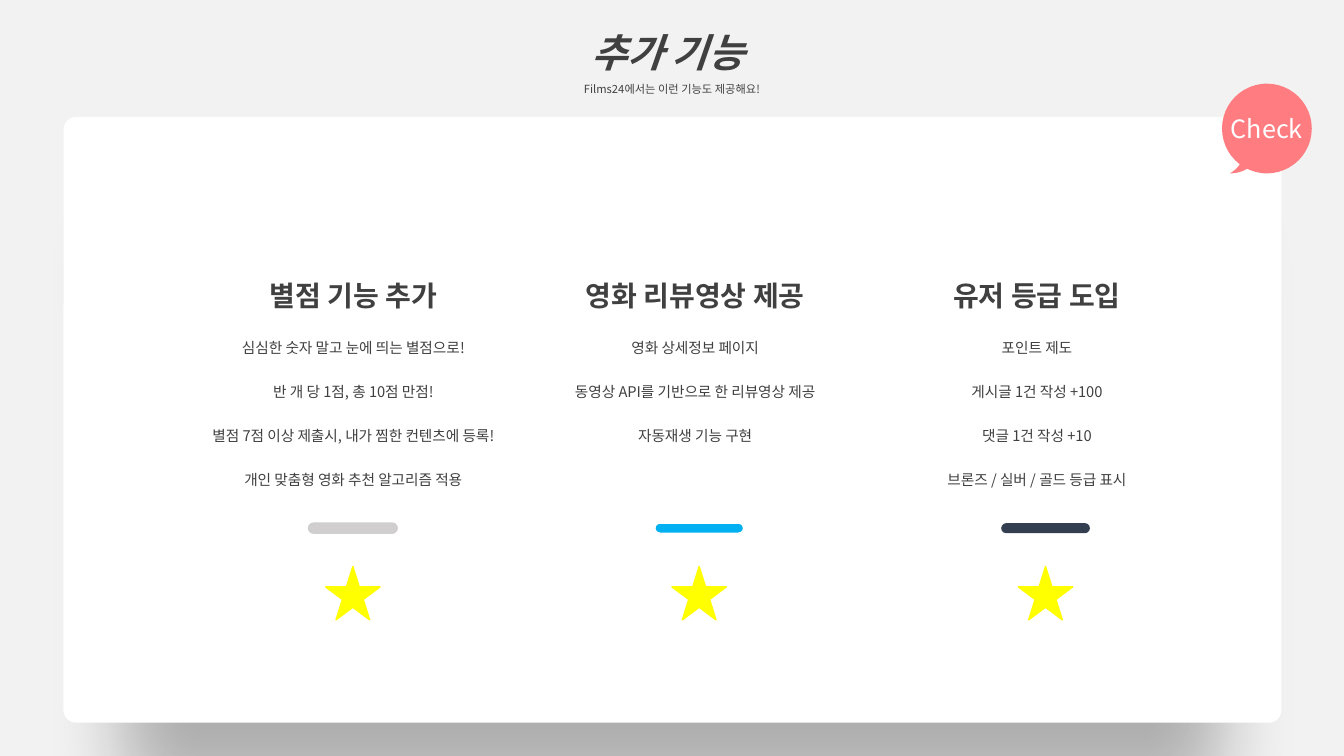
from lxml import etree
from pptx import Presentation
from pptx.dml.color import RGBColor
from pptx.enum import shapes, text
from pptx.oxml import ns
from pptx.util import Inches, Pt

FONT = "Noto Sans CJK KR"
SHAPE = shapes.MSO_SHAPE
DARK, CORAL, YELLOW, WHITE = "404040", "FF7C80", "FFFF00", "FFFFFF"

FEATURES = [
    ("별점 기능 추가",
     ["심심한 숫자 말고 눈에 띄는 별점으로!",
      "반 개 당 1점, 총 10점 만점!",
      "별점 7점 이상 제출시, 내가 찜한 컨텐츠에 등록!",
      "개인 맞춤형 영화 추천 알고리즘 적용"],
     "D0CECE", "D0CECE"),
    ("영화 리뷰영상 제공",
     ["영화 상세정보 페이지",
      "동영상 API를 기반으로 한 리뷰영상 제공",
      "자동재생 기능 구현"],
     "00B0F0", WHITE),
    ("유저 등급 도입",
     ["포인트 제도",
      "게시글 1건 작성 +100",
      "댓글 1건 작성 +10",
      "브론즈 / 실버 / 골드 등급 표시"],
     "333F50", None),
]


def color(value):
    return RGBColor.from_string(value)


def add_figure(slide, kind, left, top, width, height, fill, line=None, radius=None):
    figure = slide.shapes.add_shape(
        kind, Inches(left), Inches(top), Inches(width), Inches(height))
    figure.shadow.inherit = False
    figure.fill.solid()
    figure.fill.fore_color.rgb = color(fill)
    if line:
        figure.line.color.rgb = color(line)
        figure.line.width = Pt(1)
    else:
        figure.line.fill.background()
    if radius is not None:
        figure.adjustments[0] = radius
    return figure


def write(paragraph, words, size, ink=DARK, bold=False, italic=False, spacing=None):
    paragraph.alignment = text.PP_ALIGN.CENTER
    paragraph.line_spacing = spacing
    run = paragraph.add_run()
    run.text = words
    font = run.font
    font.size, font.bold, font.italic, font.name = Pt(size), bold, italic, FONT
    font.color.rgb = color(ink)
    east_asian = etree.SubElement(run._r.get_or_add_rPr(), ns.qn("a:ea"))
    east_asian.set("typeface", FONT)


def add_lines(slide, left, top, width, height, lines):
    box = slide.shapes.add_textbox(
        Inches(left), Inches(top), Inches(width), Inches(height))
    frame = box.text_frame
    frame.word_wrap = True
    frame.auto_size = text.MSO_AUTO_SIZE.SHAPE_TO_FIT_TEXT
    for index, (words, style) in enumerate(lines):
        paragraph = frame.add_paragraph() if index else frame.paragraphs[0]
        write(paragraph, words, **style)


def add_soft_shadow(figure):
    effects = figure._element.spPr.find(ns.qn("a:effectLst"))
    shadow = etree.SubElement(
        effects, ns.qn("a:outerShdw"), blurRad=str(Pt(56)), dist=str(Pt(51)),
        dir="5400000", sx="90000", sy="90000", algn="b", rotWithShape="0")
    black = etree.SubElement(shadow, ns.qn("a:srgbClr"), val="000000")
    etree.SubElement(black, ns.qn("a:alpha"), val="27000")


def add_check_bubble(slide):
    tail = add_figure(slide, SHAPE.MOON, 12.2, 1.27, 0.28, 0.45, CORAL)
    tail._element.spPr.find(ns.qn("a:xfrm")).set("flipH", "1")
    bubble = add_figure(slide, SHAPE.OVAL, 12.12, 0.83, 0.89, 0.89, CORAL)
    frame = bubble.text_frame
    frame.word_wrap = False
    frame.vertical_anchor = text.MSO_ANCHOR.MIDDLE
    write(frame.paragraphs[0], "Check", 18, ink=WHITE)


def add_feature(slide, column, title, details, fill, line):
    heading = {"size": 20, "bold": True, "spacing": 1.5}
    body = {"size": 10.5, "spacing": 2.5}
    lines = [(title, heading)] + [(detail, body) for detail in details]
    add_lines(slide, 1.78 + 3.39 * column, 2.55, 3.45, 0.09 + 0.44 * len(lines), lines)
    bar_left = 3.06 + 3.435 * column
    add_figure(slide, SHAPE.ROUNDED_RECTANGLE, bar_left, 5.19, 0.88, 0.1, fill, line, 0.5)
    add_figure(slide, SHAPE.STAR_5_POINT, bar_left + 0.17, 5.62, 0.54, 0.53, YELLOW, YELLOW)


def main():
    deck = Presentation()
    deck.slide_width, deck.slide_height = Inches(13.33), Inches(7.5)
    slide = deck.slides.add_slide(deck.slide_layouts[6])
    slide.background.fill.solid()
    slide.background.fill.fore_color.rgb = color("F2F2F2")

    card = add_figure(
        slide, SHAPE.ROUNDED_RECTANGLE, 0.63, 1.16, 12.08, 6.01, WHITE, radius=0.021)
    add_soft_shadow(card)
    add_lines(slide, 3.81, 0, 5.71, 0.98, [
        ("추가 기능 ", {"size": 28, "bold": True, "italic": True, "spacing": 1.5}),
        ("Films24에서는 이런 기능도 제공해요!", {"size": 8, "spacing": 1.5}),
    ])
    add_check_bubble(slide)
    for column, feature in enumerate(FEATURES):
        add_feature(slide, column, *feature)
    deck.save("out.pptx")


if __name__ == "__main__":
    main()
